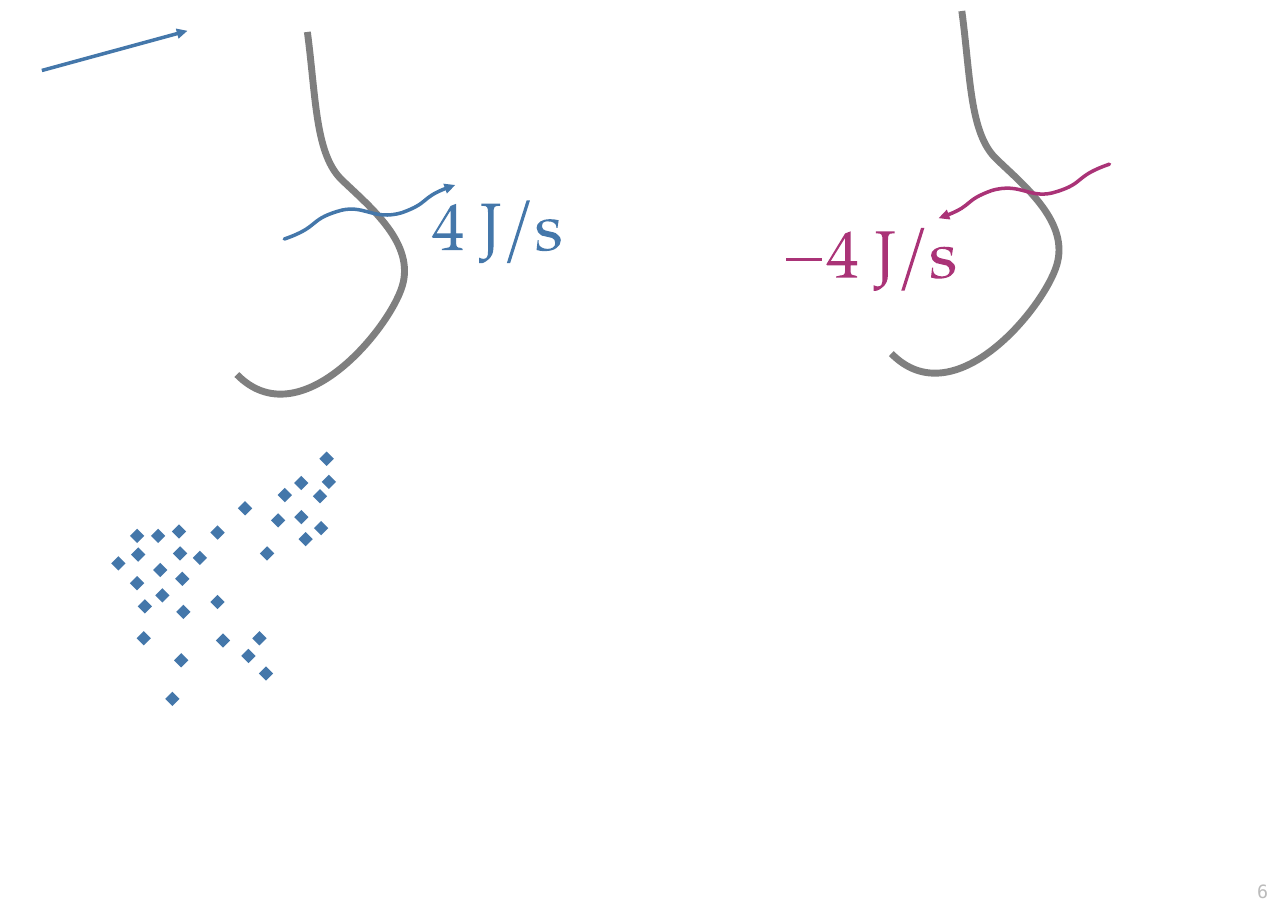
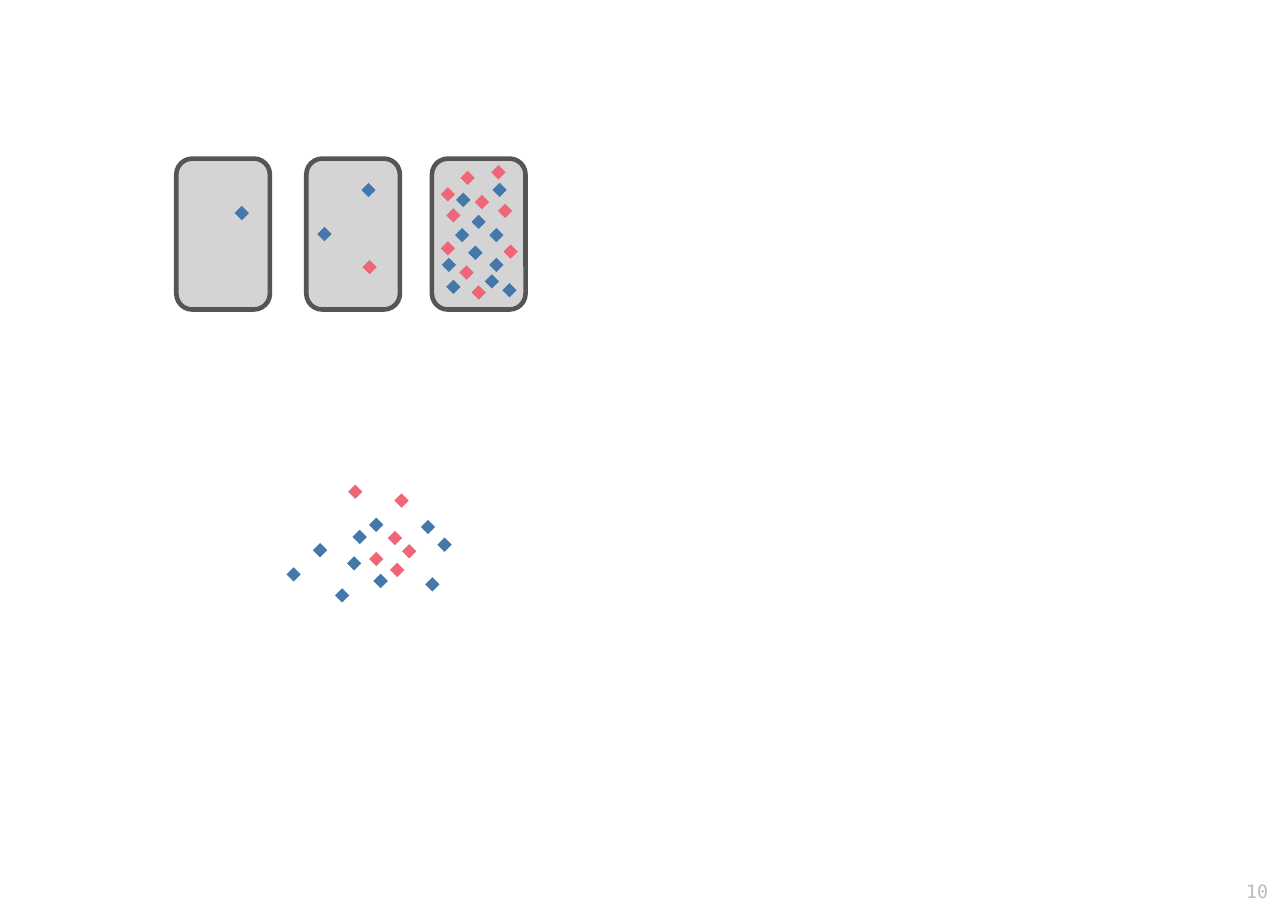
from dataclasses import dataclass

from pptx import Presentation
from pptx.dml.color import RGBColor
from pptx.enum import shapes, text
from pptx.oxml import ns
from pptx.oxml import xmlchemy
from pptx.util import Inches, Pt


@dataclass(frozen=True)
class Theme:
    blue: str = "4477AA"
    purple: str = "AA3377"
    red: str = "EE6677"
    grey: str = "555555"
    pale: str = "BBBBBB"
    number_font: str = "DejaVu Sans Mono"
    number_size: float = 12
    wall_width: float = 4.5
    tile_width: float = 3
    arrow_width: float = 2.3
    particle: float = 0.13


THEME = Theme()
SLIDE_SIZE = (11.69, 8.27)
BLANK_LAYOUT = 6

WALL_SIZE = (1.52, 3.28)
WALL = [
    (0.64, 0),
    (0.72, 0.6, 0.71, 1.12, 0.96, 1.35),
    (1.21, 1.59, 1.62, 1.92, 1.5, 2.31),
    (1.38, 2.7, 0.57, 3.69, 0, 3.11),
]
WAVE_SIZE = (1.55, 0.49)
WAVE = [
    (0, 0.49),
    (0.32, 0.38, 0.22, 0.32, 0.48, 0.24),
    (0.72, 0.16, 0.8, 0.33, 1.07, 0.25),
    (1.32, 0.16, 1.22, 0.11, 1.55, 0),
]
MINUS = (-0.37, 0.27, (0.33, 0.04), [
    [(0, 0), (0.33, 0), (0.33, 0.03), (0, 0.03)],
])
FOUR = (0, 0.03, (0.29, 0.42), [
    [
        (0.28, 0.42), (0.28, 0.41), (0.27, 0.41, 0.27, 0.4, 0.26, 0.4),
        (0.23, 0.4, 0.22, 0.39, 0.22, 0.36), (0.22, 0.31), (0.28, 0.31),
        (0.28, 0.27), (0.22, 0.27), (0.22, 0), (0.17, 0.02), (0, 0.3),
        (0.01, 0.31), (0.17, 0.31), (0.17, 0.36),
        (0.17, 0.39, 0.16, 0.4, 0.13, 0.4), (0.09, 0.41), (0.09, 0.42),
    ],
    [(0.17, 0.27), (0.04, 0.27), (0.17, 0.06)],
])
JOULE = (0.43, 0.03, (0.2, 0.54), [[
    (0.19, 0.02), (0.19, 0), (0.02, 0), (0.02, 0.02), (0.04, 0.02),
    (0.07, 0.02, 0.08, 0.03, 0.08, 0.08), (0.08, 0.43),
    (0.08, 0.48, 0.07, 0.5, 0.04, 0.5), (0.03, 0.5, 0.02, 0.5, 0, 0.49),
    (0, 0.54), (0.02, 0.54), (0.04, 0.54, 0.07, 0.52, 0.1, 0.49),
    (0.13, 0.45, 0.13, 0.42, 0.13, 0.35), (0.13, 0.08),
    (0.13, 0.03, 0.14, 0.02, 0.17, 0.02),
]])
SLASH = (0.68, 0, (0.21, 0.57), [
    [(0, 0.57), (0.03, 0.57), (0.21, 0), (0.18, 0)],
])
SECOND = (0.95, 0.17, (0.22, 0.3), [[
    (0.22, 0.19), (0.22, 0.17, 0.21, 0.16, 0.2, 0.15),
    (0.19, 0.13, 0.17, 0.12, 0.11, 0.11), (0.06, 0.1, 0.05, 0.09, 0.05, 0.06),
    (0.05, 0.03, 0.07, 0.02, 0.1, 0.02), (0.15, 0.02, 0.18, 0.04, 0.18, 0.07),
    (0.18, 0.08), (0.19, 0.08), (0.2, 0.01), (0.16, 0, 0.14, 0, 0.12, 0),
    (0.05, 0, 0, 0.03, 0, 0.08), (0, 0.11, 0.02, 0.13, 0.05, 0.15),
    (0.06, 0.15, 0.09, 0.16, 0.14, 0.17), (0.16, 0.18, 0.17, 0.19, 0.17, 0.22),
    (0.17, 0.25, 0.14, 0.27, 0.1, 0.27), (0.06, 0.27, 0.02, 0.25, 0.02, 0.22),
    (0.02, 0.19), (0.01, 0.19), (0, 0.28), (0.03, 0.29, 0.05, 0.29, 0.08, 0.29),
    (0.16, 0.29, 0.22, 0.25, 0.22, 0.19),
]])
OUTWARD_RATE = [FOUR, JOULE, SLASH, SECOND]
INWARD_RATE = [MINUS, *OUTWARD_RATE]

CLUSTER = [
    (0.57, 0.86), (1.36, 0.86), (0.96, 1.65), (1.85, 0.63), (1.9, 0),
    (0.5, 2.18), (0.24, 1.63), (0.58, 1.83), (0.91, 1.3), (0.91, 0.67),
    (1.52, 0.33), (1.84, 0.34), (1.19, 1.79), (0.18, 1.13), (0.19, 0.87),
    (0.37, 0.7), (0.39, 1.01), (0.41, 1.24), (0.59, 1.09), (0.6, 1.39),
    (0.25, 1.34), (0.01, 0.95), (0.18, 0.7), (0.56, 0.66), (0.75, 0.9),
    (1.67, 0.53), (1.71, 0.73), (1.46, 0.56), (1.67, 0.22), (1.92, 0.21),
    (1.16, 0.45), (1.29, 1.63), (1.35, 1.95),
]
TILE_SIZE = (0.85, 1.37)
TILE_TOP = 1.44
TILES = [
    (1.6, [(0.53, 0.43)], []),
    (2.78, [(0.5, 0.22), (0.1, 0.62)], [(0.51, 0.92)]),
    (
        3.92,
        [
            (0.55, 0.22), (0.22, 0.31), (0.36, 0.51), (0.48, 1.05),
            (0.52, 0.9), (0.21, 0.63), (0.52, 0.63), (0.09, 0.9),
            (0.13, 1.1), (0.64, 1.13), (0.33, 0.79),
        ],
        [
            (0.36, 1.15), (0.54, 0.06), (0.39, 0.33), (0.08, 0.26),
            (0.08, 0.75), (0.65, 0.78), (0.25, 0.97), (0.13, 0.45),
            (0.6, 0.41), (0.26, 0.11),
        ],
    ),
]
MIX_BLUE = [
    (0.44, 0.94), (1.26, 0.84), (1.37, 0.48), (0, 0.75), (0.6, 0.41),
    (0.79, 0.81), (0.55, 0.65), (0.75, 0.3), (1.22, 0.32), (0.24, 0.53),
]
MIX_RED = [
    (0.94, 0.71), (0.98, 0.08), (0.92, 0.42),
    (0.75, 0.61), (1.05, 0.54), (0.56, 0),
]


def add_child(parent, tag, **attributes):
    child = xmlchemy.OxmlElement(tag)
    for name, value in attributes.items():
        child.set(name, str(value))
    parent.append(child)
    return child


def set_opacity(parent, percent):
    color = parent.find(ns.qn("a:solidFill")).find(ns.qn("a:srgbClr"))
    add_child(color, "a:alpha", val=percent * 1000)


def style_line(shape, color, width, arrow=False, opacity=None, cap="flat"):
    shape.line.color.rgb = RGBColor.from_string(color)
    shape.line.width = Pt(width)
    outline = shape.element.spPr.find(ns.qn("a:ln"))
    outline.set("cap", cap)
    if opacity is not None:
        set_opacity(outline, opacity)
    if arrow:
        add_child(outline, "a:tailEnd", type="triangle")


def style_fill(shape, color):
    shape.shadow.inherit = False
    shape.fill.solid()
    shape.fill.fore_color.rgb = RGBColor.from_string(color)
    shape.line.fill.background()


def add_text(slide, content, box, *, size, color, font, align):
    shape = slide.shapes.add_textbox(*map(Inches, box))
    frame = shape.text_frame
    frame.word_wrap = True
    paragraph = frame.paragraphs[0]
    paragraph.alignment = align
    run = paragraph.add_run()
    run.text = content
    run.font.size = Pt(size)
    run.font.name = font
    run.font.color.rgb = RGBColor.from_string(color)


def add_outline(collection, left, top, size, contours, closed):
    right, bottom = left + size[0], top + size[1]
    builder = collection.build_freeform(Inches(left), Inches(top))
    builder.add_line_segments([(Inches(right), Inches(bottom))], close=False)
    shape = builder.convert_to_shape()
    outline = next(shape.element.iter(ns.qn("a:path")))
    for segment in list(outline):
        outline.remove(segment)
    for contour in contours:
        for index, values in enumerate(contour):
            tag = "a:cubicBezTo" if len(values) == 6 else "a:lnTo"
            segment = add_child(outline, tag if index else "a:moveTo")
            for x, y in zip(values[::2], values[1::2]):
                add_child(segment, "a:pt", x=Inches(x), y=Inches(y))
        if closed:
            add_child(outline, "a:close")
    return shape


def add_curve(slide, left, top, size, contour):
    curve = add_outline(slide.shapes, left, top, size, [contour], closed=False)
    curve.shadow.inherit = False
    curve.fill.background()
    return curve


def add_wave(slide, left, top, color, inward):
    contour = WAVE
    if inward:
        contour = [
            tuple(WAVE_SIZE[i % 2] - value for i, value in enumerate(values))
            for values in WAVE
        ]
    wave = add_curve(slide, left, top, WAVE_SIZE, contour)
    style_line(wave, color, THEME.arrow_width, arrow=True, cap="rnd")


def add_rate(slide, left, top, glyphs, color):
    group = slide.shapes.add_group_shape()
    for x, y, size, contours in glyphs:
        glyph = add_outline(
            group.shapes, left + x, top + y, size, contours, closed=True
        )
        style_fill(glyph, color)


def add_flow(slide, left, top, glyphs, rate_offset, color, inward=False):
    wall = add_curve(slide, left, top, WALL_SIZE, WALL)
    style_line(wall, THEME.grey, THEME.wall_width, opacity=75)
    add_wave(slide, left + 0.43, top + 1.39, color, inward)
    x, y = rate_offset
    add_rate(slide, left + x, top + y, glyphs, color)


def add_arrow(slide, start, end, color):
    arrow = slide.shapes.add_connector(
        shapes.MSO_CONNECTOR.STRAIGHT, *map(Inches, (*start, *end))
    )
    style_line(arrow, color, THEME.arrow_width, arrow=True)
    add_child(arrow.element.spPr, "a:effectLst")


def add_particles(slide, left, top, offsets, color):
    size = Inches(THEME.particle)
    for x, y in offsets:
        particle = slide.shapes.add_shape(
            shapes.MSO_SHAPE.DIAMOND,
            Inches(left + x), Inches(top + y), size, size,
        )
        style_fill(particle, color)


def add_mixture(slide, left, top, blue, red):
    add_particles(slide, left, top, blue, THEME.blue)
    add_particles(slide, left, top, red, THEME.red)


def add_tile(slide, left, top, blue, red):
    tile = slide.shapes.add_shape(
        shapes.MSO_SHAPE.ROUNDED_RECTANGLE,
        *map(Inches, (left, top, *TILE_SIZE)),
    )
    tile.adjustments[0] = 0.17
    style_fill(tile, THEME.grey)
    set_opacity(tile.element.spPr, 25)
    style_line(tile, THEME.grey, THEME.tile_width)
    add_mixture(slide, left, top, blue, red)


def add_slide(presentation, number):
    layout = presentation.slide_layouts[BLANK_LAYOUT]
    slide = presentation.slides.add_slide(layout)
    add_text(
        slide, number, (10.61, 7.94, 1, 0.29),
        size=THEME.number_size, color=THEME.pale, font=THEME.number_font,
        align=text.PP_ALIGN.RIGHT,
    )
    return slide


def build_flow_slide(presentation):
    slide = add_slide(presentation, "6")
    add_arrow(slide, (0.38, 0.64), (1.7, 0.28), THEME.blue)
    add_flow(slide, 2.15, 0.29, OUTWARD_RATE, (1.77, 1.53), THEME.blue)
    add_flow(
        slide, 8.09, 0.1, INWARD_RATE, (-0.59, 1.97), THEME.purple, inward=True
    )
    add_particles(slide, 1, 4.1, CLUSTER, THEME.blue)


def build_tile_slide(presentation):
    slide = add_slide(presentation, "10")
    for left, blue, red in TILES:
        add_tile(slide, left, TILE_TOP, blue, red)
    add_mixture(slide, 2.6, 4.4, MIX_BLUE, MIX_RED)


def main():
    presentation = Presentation()
    presentation.slide_width, presentation.slide_height = map(Inches, SLIDE_SIZE)
    build_flow_slide(presentation)
    build_tile_slide(presentation)
    presentation.save("out.pptx")


if __name__ == "__main__":
    main()
